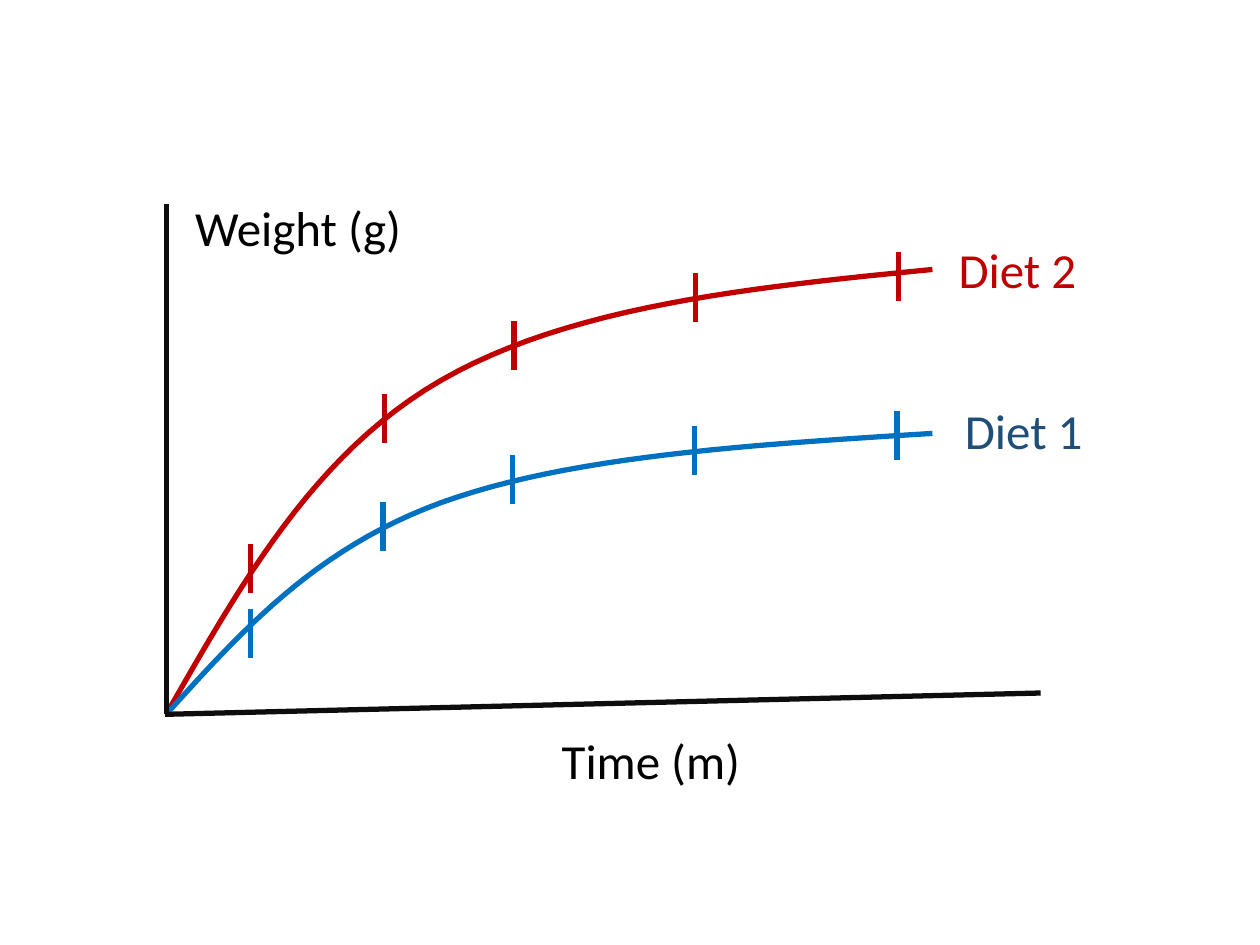
from dataclasses import dataclass

from lxml import etree
from pptx import Presentation
from pptx.dml.color import RGBColor
from pptx.enum.shapes import MSO_CONNECTOR
from pptx.enum.text import MSO_AUTO_SIZE
from pptx.oxml.ns import qn
from pptx.util import Pt

STRAIGHT = MSO_CONNECTOR.STRAIGHT
FIT_SHAPE = MSO_AUTO_SIZE.SHAPE_TO_FIT_TEXT


@dataclass(frozen=True)
class Theme:
    font: str = "Calibri"
    label_size: int = 28
    stroke: int = 3
    axis: str = "0D0D0D"
    text: str = "000000"
    diet_1: str = "0070C0"
    diet_1_label: str = "1F4E79"
    diet_2: str = "C00000"


THEME = Theme()
TICK_HEIGHT = 28
CURVE_STEPS = 24
LABEL_HEIGHT = 41
UNITS_PER_POINT = 100

ORIGIN = (95, 408.2)
AXES = [
    ((95, 116.6), ORIGIN),
    ((594.7, 396), (94.3, 408.2)),
]
CURVE_X = (95, 137.5, 179.3, 252, 325.4, 429, 532.8)
TICK_X = (143.3, 218.9, 293, 396.7, 512.6)
DIETS = [
    {
        "color": THEME.diet_2,
        "curve_y": (408.2, 334, 259.2, 217.4, 175, 164.2, 154),
        "tick_tops": (311, 225.4, 183.6, 156.2, 144),
        "tick_shift": (0, 0.7, 0.7, 0.7, 0.7),
    },
    {
        "color": THEME.diet_1,
        "curve_y": (408.2, 361.4, 313.9, 287.3, 260.6, 254.2, 247.7),
        "tick_tops": (347.8, 286.6, 259.9, 243.4, 234.7),
        "tick_shift": (0, 0, 0, 0, 0),
    },
]
LABELS = [
    ("Diet 1", 544.3, 225.4, 82.8, THEME.diet_1_label),
    ("Diet 2", 540.7, 133.2, 82.8, THEME.diet_2),
    ("Time (m)", 313.9, 414, 117.4, THEME.text),
    ("Weight (g)", 104.4, 109.4, 133.2, THEME.text),
]


def set_stroke(line, color):
    line.color.rgb = RGBColor.from_string(color)
    line.width = Pt(THEME.stroke)


def add_line(shapes, start, end, color):
    segment = shapes.add_connector(STRAIGHT, *(Pt(v) for v in (*start, *end)))
    set_stroke(segment.line, color)
    etree.SubElement(segment._element.spPr, qn("a:effectLst"))


def bezier(points, t):
    weights = ((1 - t) ** 3, 3 * t * (1 - t) ** 2, 3 * t * t * (1 - t), t ** 3)
    return tuple(
        round(UNITS_PER_POINT * sum(w * v for w, v in zip(weights, axis)))
        for axis in zip(*points)
    )


def add_curve(shapes, anchors, color):
    samples = [
        bezier(anchors[first:first + 4], step / CURVE_STEPS)
        for first in range(0, len(anchors) - 1, 3)
        for step in range(1, CURVE_STEPS + 1)
    ]
    start = bezier(anchors[:4], 0)
    builder = shapes.build_freeform(*start, scale=Pt(1) / UNITS_PER_POINT)
    builder.add_line_segments(samples, close=False)
    curve = builder.convert_to_shape()
    curve.fill.background()
    curve.shadow.inherit = False
    set_stroke(curve.line, color)


def add_label(shapes, text, left, top, width, color):
    label = shapes.add_textbox(Pt(left), Pt(top), Pt(width), Pt(LABEL_HEIGHT))
    label.text_frame.word_wrap = False
    label.text_frame.auto_size = FIT_SHAPE
    run = label.text_frame.paragraphs[0].add_run()
    run.text = text
    for name, value in {"name": THEME.font, "size": Pt(THEME.label_size)}.items():
        setattr(run.font, name, value)
    run.font.color.rgb = RGBColor.from_string(color)


deck = Presentation()
deck.slide_width, deck.slide_height = Pt(720), Pt(540)
shapes = deck.slides.add_slide(deck.slide_layouts[6]).shapes

for diet in DIETS:
    add_curve(shapes, list(zip(CURVE_X, diet["curve_y"])), diet["color"])
for diet in DIETS:
    for x, shift, top in zip(TICK_X, diet["tick_shift"], diet["tick_tops"]):
        tick_x = x + shift
        add_line(shapes, (tick_x, top), (tick_x, top + TICK_HEIGHT), diet["color"])
for start, end in AXES:
    add_line(shapes, start, end, THEME.axis)
for label in LABELS:
    add_label(shapes, *label)

deck.save("out.pptx")
